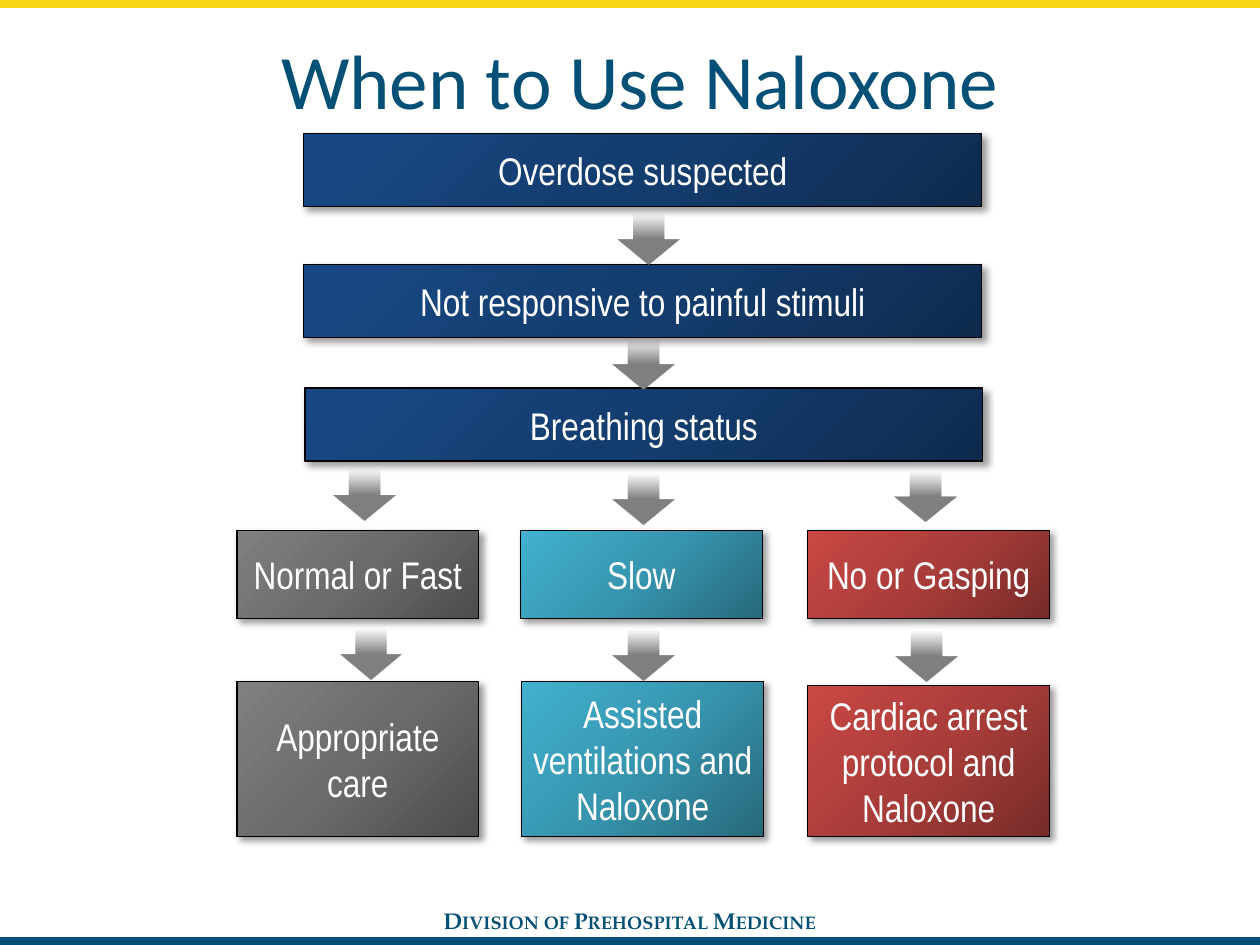
from pptx import Presentation, util as u
from pptx.dml.color import RGBColor
from pptx.enum import shapes, text
from pptx.oxml import parse_xml
from pptx.oxml.ns import nsdecls

TEAL, YELLOW, WHITE, BLACK = "034F75", "F9D616", "FFFFFF", "000000"
# Gradient colours, from dark to light
BLUE = ("0E2B4E", "143D6F", "184884")
GRAY = ("4C4C4C", "6B6B6B", "808080")
CYAN = ("27697B", "3795AF", "42B1CF")
RED = ("772B29", "A93D3A", "C94844")


def rgb(value):
    return RGBColor.from_string(value)


def set_text(tf, content, size, font, color, align=text.PP_ALIGN.CENTER,
             anchor=text.MSO_ANCHOR.MIDDLE, bold=False, small_caps=False):
    tf.vertical_anchor = anchor
    p = tf.paragraphs[0]
    p.alignment = align
    r = p.add_run()
    r.text = content
    r.font.size, r.font.name, r.font.bold = u.Pt(size), font, bold
    r.font.color.rgb = rgb(color)
    if small_caps:
        r.font._element.set("cap", "small")


def set_gradient(sp, colors, angle, clear_start=False):
    """Spread the colours evenly; the angle runs clockwise."""
    stops = ""
    for i, color in enumerate(colors):
        alpha = '<a:alpha val="0"/>' if clear_start and i == 0 else ""
        pos = 100000 * i // (len(colors) - 1)
        stops += f'<a:gs pos="{pos}"><a:srgbClr val="{color}">{alpha}</a:srgbClr></a:gs>'
    sp.fill.gradient()
    old = sp._element.spPr.find(".//{*}gradFill")
    old.getparent().replace(old, parse_xml(
        f'<a:gradFill {nsdecls("a")} rotWithShape="1"><a:gsLst>{stops}</a:gsLst>'
        f'<a:lin ang="{angle * 60000}" scaled="0"/></a:gradFill>'))


def add_shape(s, kind, x, y, w, h):
    sp = s.shapes.add_shape(kind, *map(u.Inches, (x, y, w, h)))
    sp.shadow.inherit = False
    return sp


def add_band(s, y, color):
    sp = add_shape(s, shapes.MSO_SHAPE.RECTANGLE, 0, y, 10, 0.05)
    sp.fill.solid()
    sp.fill.fore_color.rgb = sp.line.color.rgb = rgb(color)
    sp.line.width = u.Pt(2)


def add_box(s, content, x, y, w, h, colors, side=0.07):
    sp = add_shape(s, shapes.MSO_SHAPE.RECTANGLE, x, y, w, h)
    set_gradient(sp, colors, 225)
    sp.line.color.rgb = rgb(BLACK)
    sp.line.width = u.Pt(0.75)
    sp._element.spPr.find("{*}effectLst").append(parse_xml(
        f'<a:outerShdw {nsdecls("a")} blurRad="{u.Pt(4)}" dist="{u.Pt(3)}" '
        f'dir="{45 * 60000}" algn="tl" rotWithShape="0"><a:srgbClr val="{BLACK}">'
        '<a:alpha val="40000"/></a:srgbClr></a:outerShdw>'))
    tf = sp.text_frame
    tf.word_wrap = True
    tf.margin_left = tf.margin_right = u.Inches(side)
    tf.margin_top = tf.margin_bottom = u.Inches(0.04)
    set_text(tf, content, 22, "Arial Narrow", WHITE)


def add_arrow(s, x, y):
    sp = add_shape(s, shapes.MSO_SHAPE.DOWN_ARROW, x, y, 0.49, 0.4)
    set_gradient(sp, ["808080"] * 3, 90, clear_start=True)
    sp.line.fill.background()


def add_title(s, content):
    sp = s.shapes.title
    sp.left, sp.top, sp.width, sp.height = map(u.Inches, (0.58, 0, 9, 1.25))
    set_text(sp.text_frame, content, 44, "Calibri", TEAL)


def add_footer(s, content):
    sp = s.shapes.add_textbox(*map(u.Inches, (3.42, 7.15, 3.17, 0.32)))
    sp.text_frame.auto_size = text.MSO_AUTO_SIZE.SHAPE_TO_FIT_TEXT
    set_text(sp.text_frame, content, 13, "TeX Gyre Pagella", TEAL,
             align=text.PP_ALIGN.LEFT, anchor=text.MSO_ANCHOR.TOP,
             bold=True, small_caps=True)


def main():
    prs = Presentation()
    prs.slide_width, prs.slide_height = u.Inches(10), u.Inches(7.5)
    s = prs.slides.add_slide(prs.slide_layouts[5])

    # Page frame and title
    add_band(s, 7.45, TEAL)
    add_band(s, 0, YELLOW)
    add_footer(s, "Division of Prehospital Medicine")
    add_title(s, "When to Use Naloxone")

    # Assessment steps
    for content, x, y in (("Overdose suspected", 2.41, 1.06),
                          ("Not responsive to painful stimuli", 2.41, 2.1),
                          ("Breathing status", 2.42, 3.08)):
        add_box(s, content, x, y, 5.38, 0.58, BLUE)

    # Breathing findings, each above its treatment
    bottom = 6.64
    branches = (
        ("Normal or Fast", 1.88, "Appropriate care", 1.88, 5.41, GRAY, 0.07),
        ("Slow", 4.13, "Assisted ventilations and Naloxone", 4.14, 5.41, CYAN, 0),
        ("No or Gasping", 6.41, "Cardiac arrest protocol and Naloxone", 6.41, 5.44, RED, 0.07),
    )
    for finding, x, care, care_x, care_y, colors, side in branches:
        add_box(s, finding, x, 4.21, 1.92, 0.7, colors, side)
        add_box(s, care, care_x, care_y, 1.92, bottom - care_y, colors)

    # Flow arrows: between steps, to findings, to treatments
    for x, y in ((4.9, 1.7), (4.86, 2.69),
                 (2.65, 3.73), (4.86, 3.76), (7.1, 3.74),
                 (2.7, 4.99), (4.86, 5), (7.11, 5.01)):
        add_arrow(s, x, y)

    prs.save("out.pptx")


if __name__ == "__main__":
    main()
